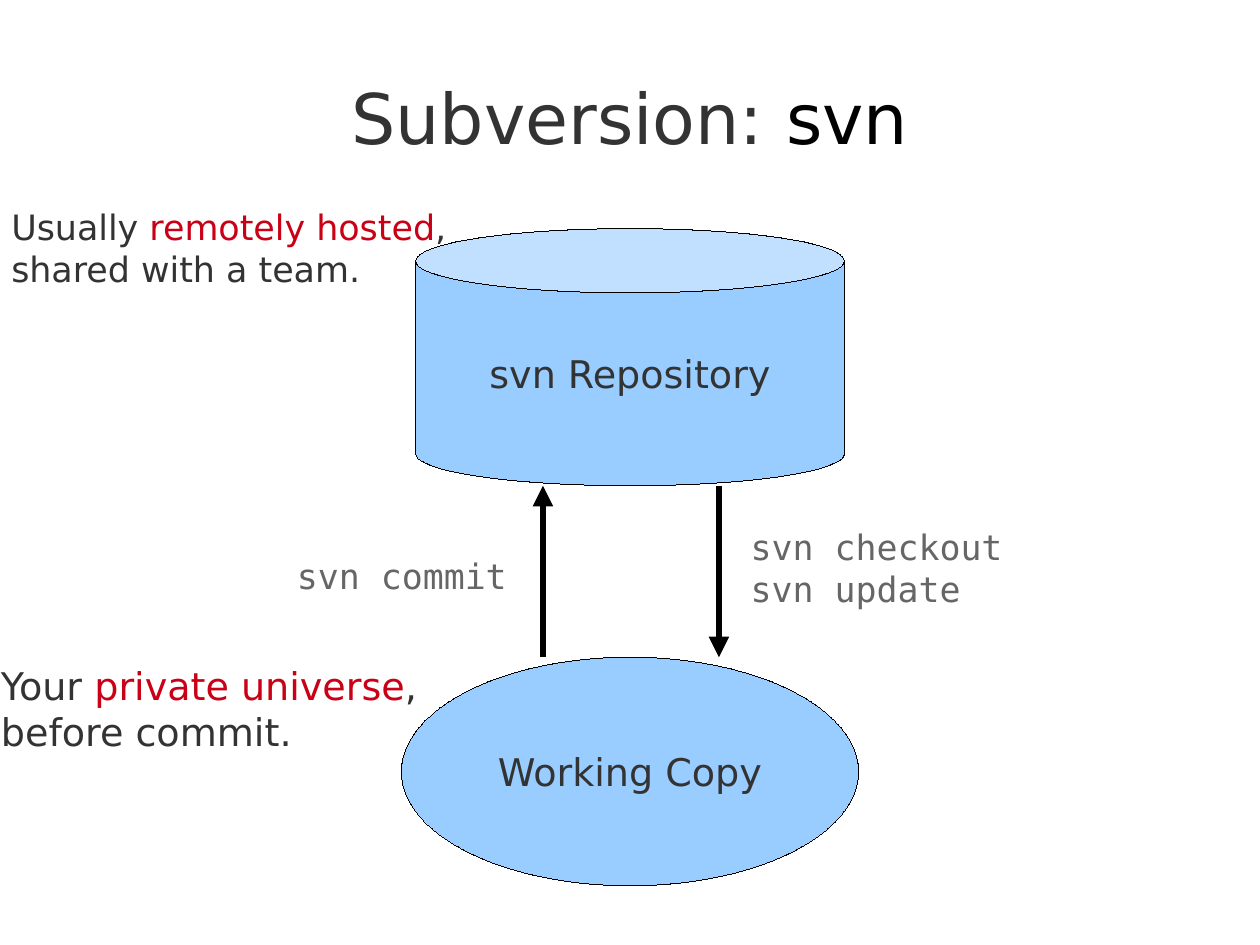
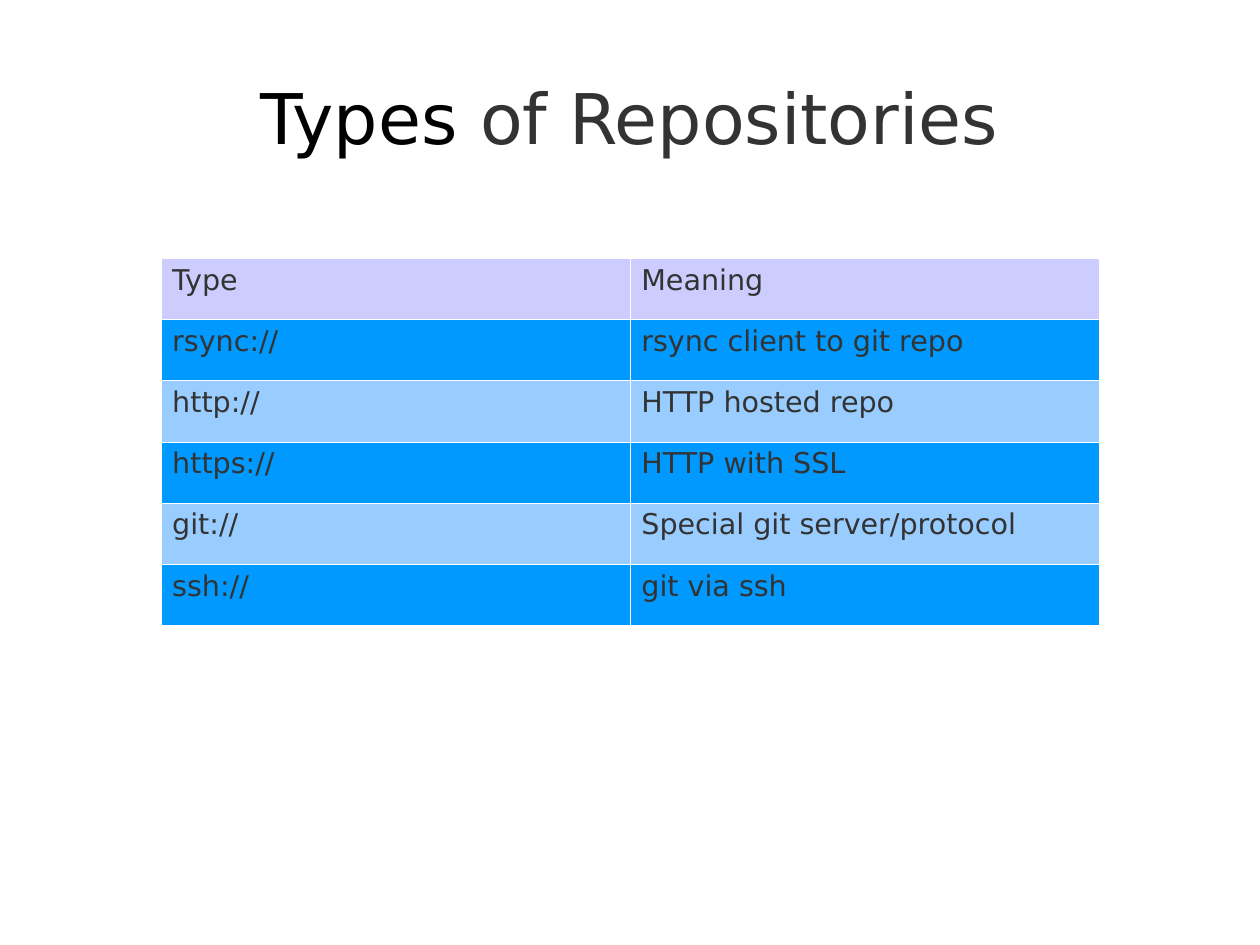
from dataclasses import dataclass

from lxml import etree
from pptx import Presentation
from pptx import util as u
from pptx.dml.color import RGBColor
from pptx.enum import shapes, text
from pptx.oxml import ns


@dataclass(frozen=True)
class Theme:
    ink: str = "333333"
    black: str = "000000"
    white: str = "FFFFFF"
    accent: str = "C90016"
    code: str = "666666"
    light: str = "99CCFF"
    strong: str = "0099FF"
    header: str = "CCCCFF"
    sans: str = "DejaVu Sans"
    mono: str = "DejaVu Sans Mono"
    title: float = 44
    label: float = 24
    note: float = 22
    cell: float = 18
    arrow: float = 4.31
    border: float = 0.06


THEME = Theme()
SLIDE_SIZE = u.Cm(28), u.Cm(21)
WIDTH, HEIGHT = (side.inches for side in SLIDE_SIZE)
CENTRE = WIDTH / 2
TITLE_AREA = (0.05 * WIDTH, 0.04 * HEIGHT, 0.9 * WIDTH, 1.38)

# Content: a paragraph is a list of (words, colour) spans
DIAGRAM_TITLE = [("Subversion: ", THEME.ink), ("svn", THEME.black)]
TABLE_TITLE = [("Types", THEME.black), (" of Repositories", THEME.ink)]

# Label, preset shape, top, width, height; each is centred on the slide
NODES = [
    ("svn Repository", shapes.MSO_SHAPE.CAN, 2, 3.75, 2.25),
    ("Working Copy", shapes.MSO_SHAPE.OVAL, 5.75, 4, 2),
]
NOTES = [
    ((0, 1.75, 4.01, 0.81), THEME.note, THEME.sans,
     [[("Usually ", THEME.ink), ("remotely hosted", THEME.accent), (",", THEME.ink)],
      [("shared with a team.", THEME.ink)]]),
    ((-0.09, 5.75, 3.84, 0.88), THEME.label, THEME.sans,
     [[("Your ", THEME.ink), ("private universe", THEME.accent), (",", THEME.ink)],
      [("before commit.", THEME.ink)]]),
    ((6.47, 4.55, 2.4, 0.81), THEME.note, THEME.mono,
     [[("svn checkout", THEME.code)], [("svn update", THEME.code)]]),
    ((2.5, 4.8, 2.04, 0.45), THEME.note, THEME.mono,
     [[("svn commit", THEME.code)]]),
]
CHECKOUT_X, COMMIT_X = 6.29, 4.75

REPOSITORY_TYPES = [
    ("Type", "Meaning"),
    ("rsync://", "rsync client to git repo"),
    ("http://", "HTTP hosted repo"),
    ("https://", "HTTP with SSL"),
    ("git://", "Special git server/protocol"),
    ("ssh://", "git via ssh"),
]
TABLE_TOP, TABLE_WIDTH, TABLE_HEIGHT = 2.26, 8.21, 3.21


def inches(*lengths):
    return [u.Inches(length) for length in lengths]


def paint(fill, colour):
    fill.solid()
    fill.fore_color.rgb = RGBColor.from_string(colour)


def write(frame, paragraphs, size, name=THEME.sans, align=text.PP_ALIGN.LEFT, **frame_format):
    for key, value in frame_format.items():
        setattr(frame, key, value)
    for index, spans in enumerate(paragraphs):
        para = frame.paragraphs[0] if index == 0 else frame.add_paragraph()
        para.alignment = align
        for words, colour in spans:
            span = para.add_run()
            span.text = words
            for key, value in {"size": u.Pt(size), "name": name}.items():
                setattr(span.font, key, value)
            span.font.color.rgb = RGBColor.from_string(colour)


def add_slide(deck, title):
    page = deck.slides.add_slide(deck.slide_layouts[6])
    paint(page.background.fill, THEME.white)
    box = page.shapes.add_textbox(*inches(*TITLE_AREA))
    write(box.text_frame, [title], THEME.title, align=text.PP_ALIGN.CENTER,
          word_wrap=True, vertical_anchor=text.MSO_ANCHOR.MIDDLE,
          margin_left=0, margin_right=0, margin_top=0, margin_bottom=0)
    return page


def add_node(page, label, preset, top, width, height):
    node = page.shapes.add_shape(preset, *inches(CENTRE - width / 2, top, width, height))
    node.shadow.inherit = False
    paint(node.fill, THEME.light)
    paint(node.line.fill, THEME.black)
    # Hairline: the width property drops a zero, so it is written directly
    node.line._get_or_add_ln().set("w", "0")
    write(node.text_frame, [[(label, THEME.ink)]], THEME.label, align=text.PP_ALIGN.CENTER,
          word_wrap=False, vertical_anchor=text.MSO_ANCHOR.MIDDLE)


def add_arrow(page, x, start, end):
    arrow = page.shapes.add_connector(shapes.MSO_CONNECTOR.STRAIGHT, *inches(x, start, x, end))
    paint(arrow.line.fill, THEME.black)
    arrow.line.width = u.Pt(THEME.arrow)
    etree.SubElement(arrow.line._get_or_add_ln(), ns.qn("a:tailEnd"), type="triangle")
    etree.SubElement(arrow._element.spPr, ns.qn("a:effectLst"))


def add_borders(cell):
    properties = cell._tc.get_or_add_tcPr()
    for side in ("lnL", "lnR", "lnT", "lnB"):
        line = etree.SubElement(properties, ns.qn(f"a:{side}"), w=str(u.Pt(THEME.border)))
        fill = etree.SubElement(line, ns.qn("a:solidFill"))
        etree.SubElement(fill, ns.qn("a:srgbClr"), val=THEME.white)


def build_diagram(deck):
    page = add_slide(deck, DIAGRAM_TITLE)
    for node in NODES:
        add_node(page, *node)
    for area, size, name, paragraphs in NOTES:
        box = page.shapes.add_textbox(*inches(*area))
        write(box.text_frame, paragraphs, size, name, word_wrap=False,
              auto_size=text.MSO_AUTO_SIZE.SHAPE_TO_FIT_TEXT)
    # Arrows span the gap between the two nodes
    repository, working_copy = NODES
    upper, lower = repository[2] + repository[4], working_copy[2]
    add_arrow(page, CHECKOUT_X, upper, lower)
    add_arrow(page, COMMIT_X, lower, upper)


def build_table(deck):
    page = add_slide(deck, TABLE_TITLE)
    rows, columns = len(REPOSITORY_TYPES), len(REPOSITORY_TYPES[0])
    table = page.shapes.add_table(rows, columns, *inches(
        CENTRE - TABLE_WIDTH / 2, TABLE_TOP, TABLE_WIDTH, TABLE_HEIGHT)).table
    table.first_row = table.horz_banding = False
    for row, entries in enumerate(REPOSITORY_TYPES):
        band = THEME.strong if row % 2 else THEME.light
        for column, words in enumerate(entries):
            cell = table.cell(row, column)
            add_borders(cell)
            paint(cell.fill, band if row else THEME.header)
            write(cell.text_frame, [[(words, THEME.ink)]], THEME.cell)


def main():
    deck = Presentation()
    deck.slide_width, deck.slide_height = SLIDE_SIZE
    build_diagram(deck)
    build_table(deck)
    deck.save("out.pptx")


if __name__ == "__main__":
    main()
